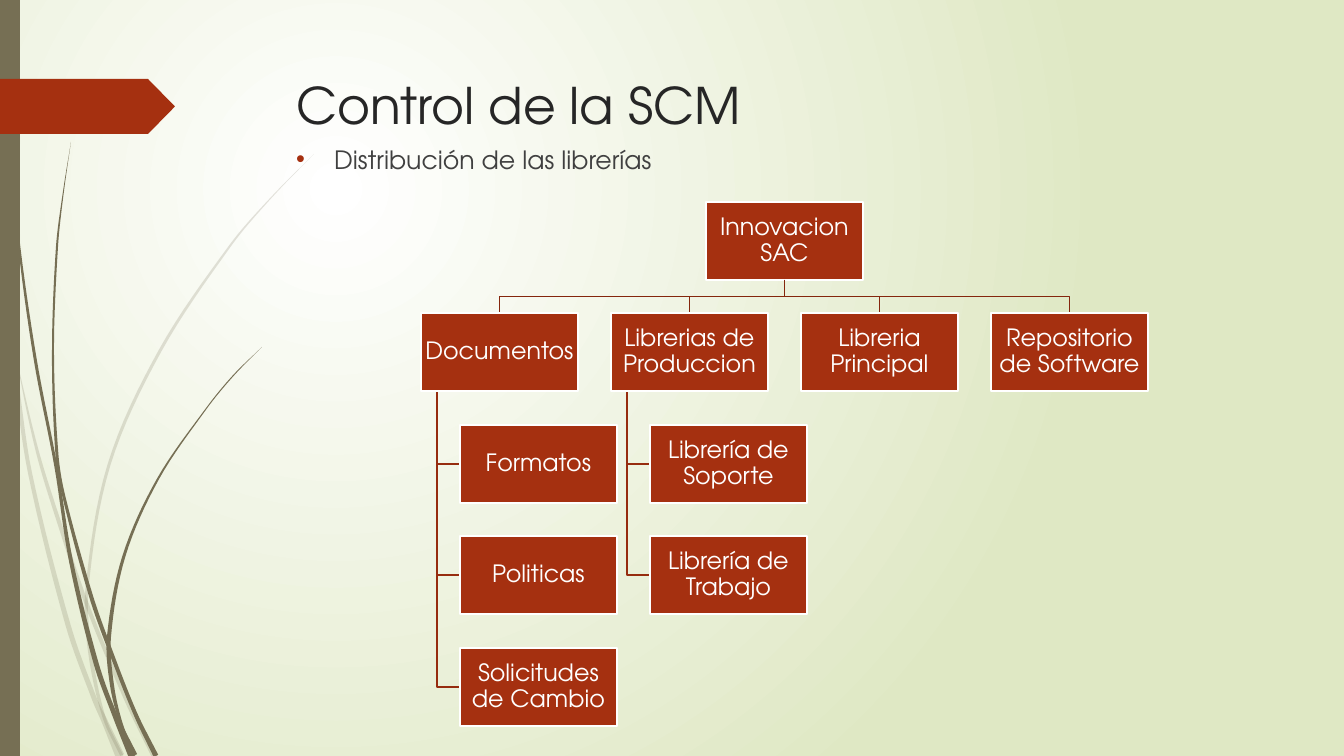
from math import dist, hypot

from lxml import etree
from pptx import Presentation
from pptx.dml.color import RGBColor
from pptx.enum.shapes import MSO_SHAPE
from pptx.enum.text import MSO_ANCHOR, MSO_AUTO_SIZE, PP_ALIGN
from pptx.oxml import parse_xml
from pptx.oxml.ns import nsdecls, qn
from pptx.util import Pt

TITLE = "Control de la SCM"
SUBTITLE = "Distribución de las librerías"
ROOT = "Innovacion SAC"
BRANCHES = [
    ("Documentos", ["Formatos", "Politicas", "Solicitudes de Cambio"]),
    ("Librerias de Produccion", ["Librería de Soporte", "Librería de Trabajo"]),
    ("Libreria Principal", []),
    ("Repositorio de Software", []),
]

FONT = "TeX Gyre Adventor"
COLORS = {
    "accent": "A53010", "bus": "84260D", "trunk": "962C0F", "olive": "766F54",
    "title": "262626", "body": "404040", "white": "FFFFFF", "edge": "DFE8C4",
}

PALE_BLADES = [
    [(0, 293, 3), (14, 366, 4), (30, 473, 4), (68, 625, 5), (94, 698, 5),
     (104, 720, 6), (120, 756, 9)],
    [(14, 348, 0), (37, 450, 3), (60, 525, 4), (86, 602, 4), (126, 699, 4),
     (154, 756, 5)],
    [(314, 154, 0), (270, 199, 1), (230, 246, 2), (160, 351, 3), (109, 465, 3),
     (87, 589, 3), (90, 651, 4), (104, 717, 3), (122, 756, 3)],
]
DARK_BLADES = [
    [(4, 0, 1), (6, 48, 1), (8, 110, 1), (18, 235, 2), (35, 358, 3),
     (56, 467, 3), (71, 561, 4), (96, 663, 5), (114, 713, 5), (133, 756, 9)],
    [(71, 142, 0), (63, 195, 1), (57, 247, 2), (53, 352, 2), (57, 455, 3),
     (64, 497, 3), (91, 596, 4), (109, 647, 4), (135, 713, 4), (156, 756, 5)],
    [(262, 347, 0), (233, 376, 1), (206, 409, 1), (158, 479, 2), (124, 556, 3),
     (109, 637, 4), (112, 685, 4), (121, 723, 3), (134, 756, 3)],
]

PX = 12192000 / 1344
SLIDE_SIZE = (1344, 756)
BOX_WIDTH, BOX_HEIGHT = 157, 78
CHART_LEFT, CHART_TOP = 421, 202
COLUMN_PITCH, TWO_ROW_PITCH = 190, 223
LEAF_INDENT, TRUNK_INDENT = 39, 16
CURVE_STEPS = 8

RECTANGLE = MSO_SHAPE.RECTANGLE
PENTAGON = MSO_SHAPE.PENTAGON
TOP, MIDDLE = MSO_ANCHOR.TOP, MSO_ANCHOR.MIDDLE
LEFT, CENTER = PP_ALIGN.LEFT, PP_ALIGN.CENTER
NO_FIT = MSO_AUTO_SIZE.NONE


def px(*lengths):
    return [round(length * PX) for length in lengths]


def rgb(name):
    return RGBColor.from_string(COLORS[name])


def write(text_frame, text, size, color, align, anchor):
    text_frame.text = text
    text_frame.word_wrap = True
    text_frame.auto_size = NO_FIT
    text_frame.vertical_anchor = anchor
    paragraph = text_frame.paragraphs[0]
    paragraph.alignment = align
    font = paragraph.runs[0].font
    font.name, font.size, font.color.rgb = FONT, Pt(size), rgb(color)
    return paragraph


def paint(shape, color):
    shape.shadow.inherit = False
    shape.fill.solid()
    shape.fill.fore_color.rgb = rgb(color)
    shape.line.fill.background()


def outline(shape, color):
    shape.line.color.rgb = rgb(color)
    shape.line.width = Pt(1.25)


def add_filled(shapes, kind, left, top, width, height, color):
    shape = shapes.add_shape(kind, *px(left, top, width, height))
    paint(shape, color)
    return shape


def add_freeform(shapes, points, close):
    corners = [px(x, y) for x, y in points]
    builder = shapes.build_freeform(*corners[0], scale=1.0)
    builder.add_line_segments(corners[1:], close=close)
    return builder.convert_to_shape()


def smooth_curve(knots):
    padded = [knots[0], *knots, knots[-1]]
    points = []
    for before, start, end, after in zip(padded, padded[1:], padded[2:], padded[3:]):
        length = dist(start, end)
        start_ratio = length / (dist(before, start) + length)
        end_ratio = length / (length + dist(end, after))
        for step in range(CURVE_STEPS):
            t = step / CURVE_STEPS
            ease = t * t * (3 - 2 * t)
            points.append([
                b + (c - b) * ease
                + (c - a) * start_ratio * t * (1 - t) ** 2
                - (d - b) * end_ratio * t * t * (1 - t)
                for a, b, c, d in zip(before, start, end, after)
            ])
    return points + [knots[-1]]


def add_blade(shapes, knots, alpha):
    points = smooth_curve(knots)
    left_edge, right_edge = [], []
    neighbours = zip([points[0], *points], points, [*points[1:], points[-1]])
    for before, (x, y, width), after in neighbours:
        dx, dy = after[0] - before[0], after[1] - before[1]
        half = max(width, 0) / 2 / hypot(dx, dy)
        left_edge.append((x - dy * half, y + dx * half))
        right_edge.append((x + dy * half, y - dx * half))
    blade = add_freeform(shapes, left_edge + right_edge[::-1], True)
    paint(blade, "olive")
    color = blade.fill._xPr.find(qn("a:solidFill"))[0]
    etree.SubElement(color, qn("a:alpha"), val=str(alpha * 1000))


def add_elbow(shapes, points, color):
    elbow = add_freeform(shapes, points, False)
    elbow.shadow.inherit = False
    elbow.fill.background()
    outline(elbow, color)


def row_top(row):
    return CHART_TOP + TWO_ROW_PITCH * row // 2


def add_box(shapes, text, left, row):
    box = add_filled(shapes, RECTANGLE, left, row_top(row), BOX_WIDTH, BOX_HEIGHT, "accent")
    outline(box, "white")
    frame = box.text_frame
    frame.margin_left = frame.margin_right = frame.margin_top = frame.margin_bottom = px(1)[0]
    write(frame, text, 17, "white", CENTER, MIDDLE).line_spacing = 0.9


def add_library_chart(shapes):
    columns = [CHART_LEFT + COLUMN_PITCH * index for index in range(len(BRANCHES))]
    root_left = (columns[0] + columns[-1]) // 2
    half = BOX_WIDTH / 2
    root_center = root_left + half
    root_bottom, branch_top = row_top(0) + BOX_HEIGHT, row_top(1)
    bus = (root_bottom + branch_top) / 2
    add_box(shapes, ROOT, root_left, 0)
    for left, (branch, leaves) in zip(columns, BRANCHES):
        add_elbow(shapes, [(root_center, root_bottom), (root_center, bus),
                           (left + half, bus), (left + half, branch_top)], "bus")
        trunk, leaf_left = left + TRUNK_INDENT, left + LEAF_INDENT
        for row, leaf in enumerate(leaves, 2):
            middle = row_top(row) + BOX_HEIGHT / 2
            add_elbow(shapes, [(trunk, branch_top + BOX_HEIGHT), (trunk, middle),
                               (leaf_left, middle)], "trunk")
            add_box(shapes, leaf, leaf_left, row)
        add_box(shapes, branch, left, 1)


def set_background(slide):
    slide.background.fill.solid()
    properties = slide.background._cSld.bg.bgPr
    gradient = parse_xml(
        f'<a:gradFill {nsdecls("a")} rotWithShape="1"><a:gsLst>'
        f'<a:gs pos="0"><a:srgbClr val="{COLORS["white"]}"/></a:gs>'
        f'<a:gs pos="100000"><a:srgbClr val="{COLORS["edge"]}"/></a:gs></a:gsLst>'
        '<a:path path="circle"><a:fillToRect l="50000" t="50000" r="100000" b="100000"/>'
        '</a:path></a:gradFill>')
    properties.replace(properties.find(qn("a:solidFill")), gradient)


def place(shape, left, top, width, height):
    shape.left, shape.top, shape.width, shape.height = px(left, top, width, height)


def add_headings(slide):
    title, body = slide.shapes.title, slide.placeholders[1]
    place(title, 286, 69, 983, 141)
    write(title.text_frame, TITLE, 36, "title", LEFT, TOP)
    place(body, 286, 139, 983, 53)
    paragraph = write(body.text_frame, SUBTITLE, 18, "body", LEFT, TOP)
    paragraph.space_before = Pt(10)
    properties = paragraph._p.get_or_add_pPr()
    indent = px(38)[0]
    properties.set("marL", str(indent))
    properties.set("indent", str(-indent))
    bullet_color = etree.SubElement(properties, qn("a:buClr"))
    etree.SubElement(bullet_color, qn("a:srgbClr"), val=COLORS["accent"])
    etree.SubElement(properties, qn("a:buFont"), typeface="Arial")
    etree.SubElement(properties, qn("a:buChar"), char="•")


presentation = Presentation()
presentation.slide_width, presentation.slide_height = px(*SLIDE_SIZE)
slide = presentation.slides.add_slide(presentation.slide_layouts[1])
set_background(slide)
for blades, alpha in ((PALE_BLADES, 20), (DARK_BLADES, 100)):
    for knots in blades:
        add_blade(slide.shapes, knots, alpha)
add_filled(slide.shapes, RECTANGLE, 0, 0, 20, 756, "olive")
add_filled(slide.shapes, PENTAGON, 0, 79, 175, 55, "accent").adjustments[0] = 0.49
add_headings(slide)
add_library_chart(slide.shapes)
presentation.save("out.pptx")
